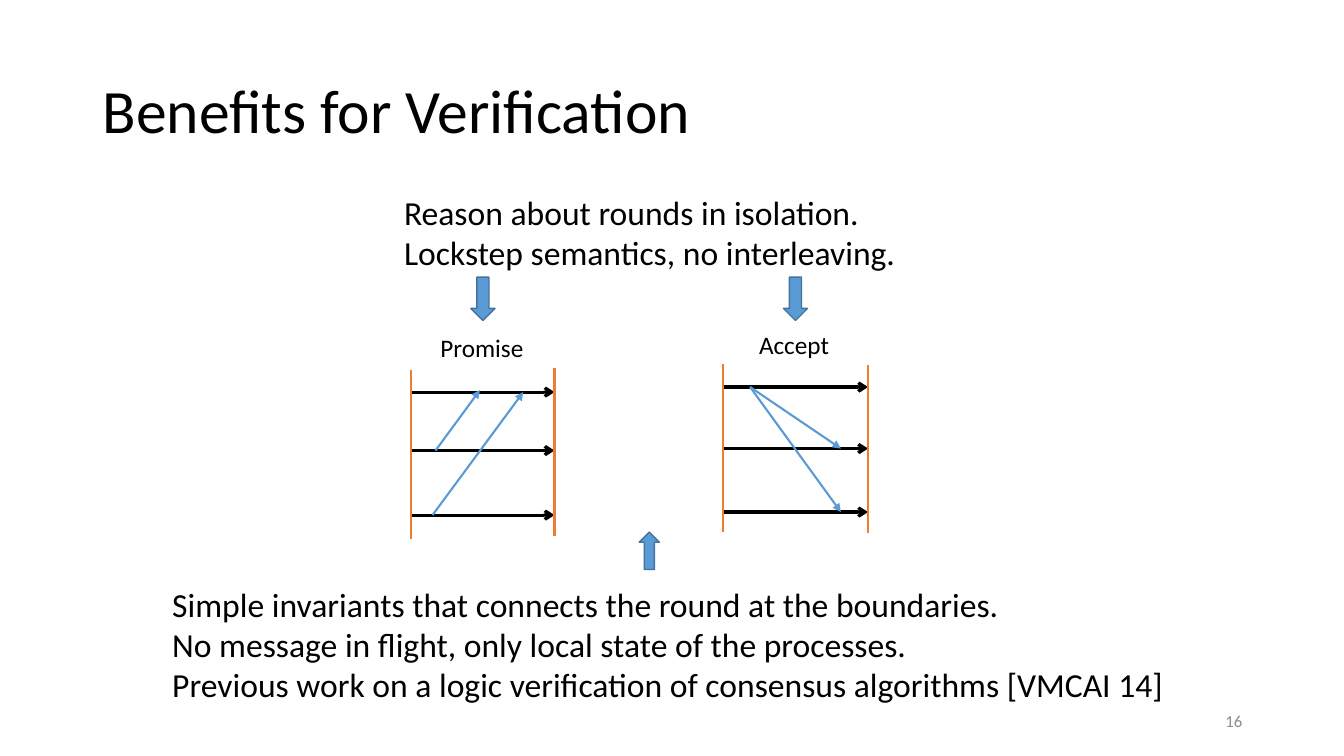
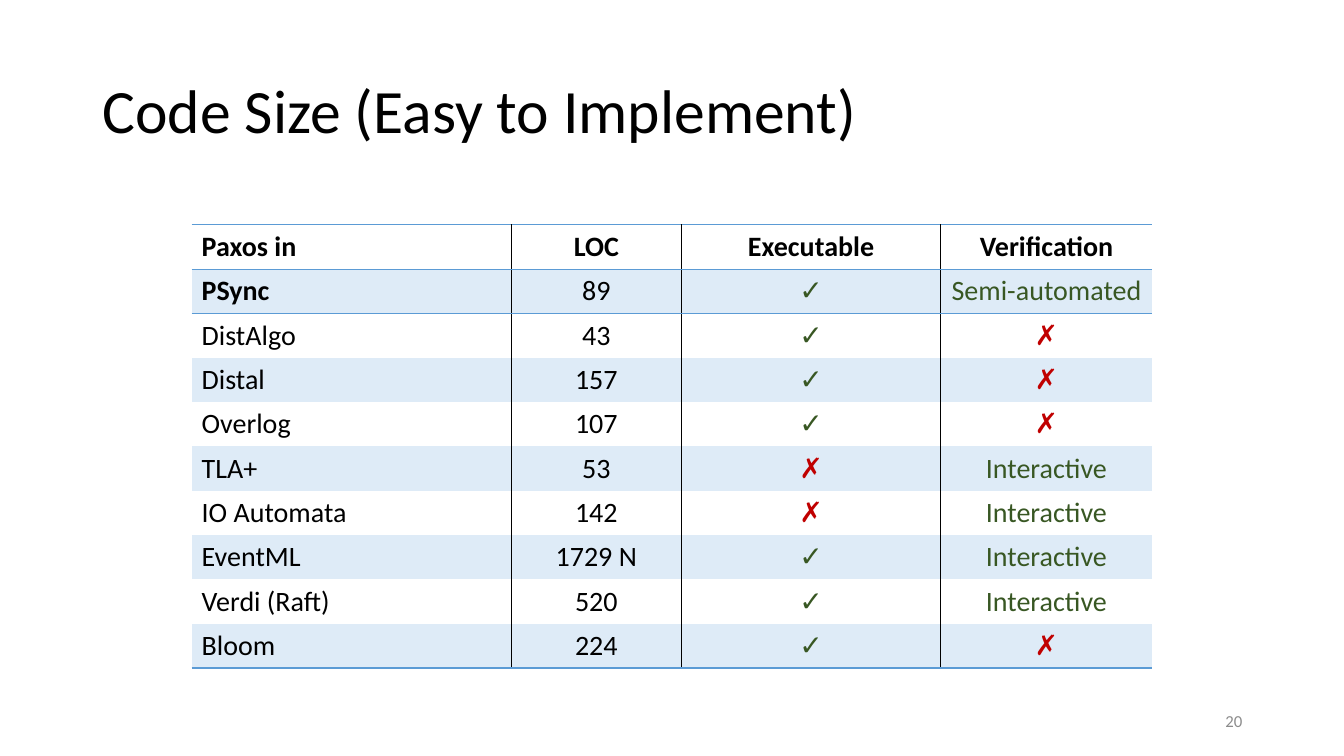
from dataclasses import dataclass
from typing import NamedTuple, Optional

from lxml.etree import SubElement
from pptx import Presentation
from pptx.dml.color import RGBColor
from pptx.enum.shapes import MSO_CONNECTOR, MSO_SHAPE
from pptx.enum.text import MSO_ANCHOR, PP_ALIGN
from pptx.oxml.ns import qn
from pptx.util import Inches, Pt


@dataclass(frozen=True)
class Theme:
    font: str = "Calibri"
    text: str = "000000"
    muted: str = "8C8C8C"
    blue: str = "5B9BD5"
    blue_dark: str = "43739E"
    orange: str = "ED7D31"
    band: str = "DEEBF7"
    good: str = "385723"
    bad: str = "C00000"
    title_size: float = 44
    body_size: float = 24
    table_size: float = 20
    label_size: float = 18
    footer_size: float = 12


class Box(NamedTuple):
    left: float
    top: float
    width: float
    height: float


class Line(NamedTuple):
    x1: float
    y1: float
    x2: float
    y2: float


class Border(NamedTuple):
    side: str
    color: str


@dataclass(frozen=True)
class Round:
    """One communication round: process lines between two boundaries."""
    label: str
    label_box: Box
    processes: list[float]
    boundaries: list[Line]
    messages: list[Line]


class BlockArrow(NamedTuple):
    shape: MSO_SHAPE
    box: Box


T = Theme()
TITLE_BOX = Box(0.92, 0.4, 11.5, 1.45)
NUMBER_BOX = Box(9.42, 6.95, 3, 0.4)
NO_TABLE_STYLE = "{2D5ABB26-0587-4C30-8999-92F81FD0307C}"

ROUNDS = [
    Round("Promise", Box(4.27, 3.25, 1.03, 0.4), [3.89, 4.47, 5.11],
          [Line(4.08, 3.67, 4.08, 5.35), Line(5.5, 3.65, 5.5, 5.32)],
          [Line(4.32, 4.47, 4.76, 3.87), Line(4.29, 5.11, 5.19, 3.89)]),
    Round("Accept", Box(7.43, 3.22, 0.9, 0.4), [3.84, 4.45, 5.08],
          [Line(7.17, 3.61, 7.17, 5.28), Line(8.61, 3.62, 8.61, 5.29)],
          [Line(7.44, 3.84, 8.34, 4.45), Line(7.44, 3.84, 8.34, 5.08)]),
]

BLOCK_ARROWS = [
    BlockArrow(MSO_SHAPE.UP_ARROW, Box(6.34, 5.28, 0.2, 0.37)),
    BlockArrow(MSO_SHAPE.DOWN_ARROW, Box(7.77, 2.75, 0.24, 0.43)),
    BlockArrow(MSO_SHAPE.DOWN_ARROW, Box(4.67, 2.75, 0.24, 0.43)),
]

TABLE_BOX = Box(1.9, 2.23, 9.53, 4.4)
COLUMN_WIDTHS = [3.17, 1.69, 2.57, 2.1]
ROWS = [
    ("Paxos in", "LOC", "Executable", "Verification"),
    ("PSync", "89", "✓", "Semi-automated"),
    ("DistAlgo", "43", "✓", "✗"),
    ("Distal", "157", "✓", "✗"),
    ("Overlog", "107", "✓", "✗"),
    ("TLA+", "53", "✗", "Interactive"),
    ("IO Automata", "142", "✗", "Interactive"),
    ("EventML", "1729 N", "✓", "Interactive"),
    ("Verdi (Raft)", "520", "✓", "Interactive"),
    ("Bloom", "224", "✓", "✗"),
]


def rgb(color: str) -> RGBColor:
    return RGBColor.from_string(color)


def place(box: Box) -> list[int]:
    return [Inches(v) for v in box]


def add_run(p, text: str, size: float, color: str = T.text, bold: bool = False) -> None:
    r = p.add_run()
    r.text = text
    r.font.name = T.font
    r.font.size = Pt(size)
    r.font.bold = bold
    r.font.color.rgb = rgb(color)


def add_text(shapes, box: Box, lines: list[str], size: float, color: str = T.text,
             align=PP_ALIGN.LEFT, anchor=MSO_ANCHOR.TOP, wrap: bool = False,
             spacing: float = 1.0) -> None:
    tf = shapes.add_textbox(*place(box)).text_frame
    tf.word_wrap = wrap
    tf.vertical_anchor = anchor
    for i, line in enumerate(lines):
        p = tf.add_paragraph() if i else tf.paragraphs[0]
        p.alignment = align
        p.line_spacing = spacing
        add_run(p, line, size, color)


def add_line(shapes, line: Line, color: str, width: float,
             head: Optional[str] = None) -> None:
    c = shapes.add_connector(MSO_CONNECTOR.STRAIGHT, *[Inches(v) for v in line])
    c.line.color.rgb = rgb(color)
    c.line.width = Pt(width)
    spPr = c.element.spPr
    if head:
        SubElement(spPr.find(qn("a:ln")), qn("a:tailEnd"), type=head)
    SubElement(spPr, qn("a:effectLst"))


def add_block_arrow(shapes, arrow: BlockArrow) -> None:
    sp = shapes.add_shape(arrow.shape, *place(arrow.box))
    sp.shadow.inherit = False
    sp.fill.solid()
    sp.fill.fore_color.rgb = rgb(T.blue)
    sp.line.color.rgb = rgb(T.blue_dark)
    sp.line.width = Pt(1)


def add_round(s, rnd: Round) -> None:
    shapes = s.shapes.add_group_shape().shapes
    start, end = (b.x1 for b in rnd.boundaries)
    for y in rnd.processes:
        add_line(shapes, Line(start, y, end, y), T.text, 2.25, "arrow")
    for message in rnd.messages:
        add_line(shapes, message, T.blue, 1.5, "triangle")
    add_text(shapes, rnd.label_box, [rnd.label], T.label_size)
    for boundary in rnd.boundaries:
        add_line(shapes, boundary, T.orange, 1.5)


def add_border(cell, border: Border) -> None:
    tcPr = cell._tc.get_or_add_tcPr()
    ln = SubElement(tcPr, qn(f"a:ln{border.side}"), w=str(Pt(1)))
    fill = SubElement(ln, qn("a:solidFill"))
    SubElement(fill, qn("a:srgbClr"), val=border.color)


def cell_borders(row: int, col: int) -> list[Border]:
    """Column rules around LOC, row rules around the header and at the end."""
    borders = []
    if col in (1, 2):
        borders.append(Border("L", T.text))
    if col in (0, 1):
        borders.append(Border("R", T.text))
    if row in (0, 1):
        borders.append(Border("T", T.blue))
    if row in (0, len(ROWS) - 1):
        borders.append(Border("B", T.blue))
    return borders


def cell_color(row: int, col: int, text: str) -> str:
    if row == 0 or col < 2:
        return T.text
    return T.bad if text == "✗" else T.good


def add_code_table(s) -> None:
    frame = s.shapes.add_table(len(ROWS), len(COLUMN_WIDTHS), *place(TABLE_BOX))
    table = frame.table
    table.first_row = table.horz_banding = False
    table._tbl.tblPr.find(qn("a:tableStyleId")).text = NO_TABLE_STYLE
    for column, width in zip(table.columns, COLUMN_WIDTHS):
        column.width = Inches(width)
    for i, row in enumerate(ROWS):
        table.rows[i].height = Inches(TABLE_BOX.height / len(ROWS))
        for j, text in enumerate(row):
            cell = table.cell(i, j)
            for border in cell_borders(i, j):
                add_border(cell, border)
            if i % 2:
                cell.fill.solid()
                cell.fill.fore_color.rgb = rgb(T.band)
            else:
                cell.fill.background()
            p = cell.text_frame.paragraphs[0]
            p.alignment = PP_ALIGN.CENTER if j else PP_ALIGN.LEFT
            bold = i == 0 or text in ("PSync", "✓", "✗")
            add_run(p, text, T.table_size, cell_color(i, j, text), bold)


def new_slide(prs, title: str, number: int):
    """Blank slide with the shared title and slide number."""
    s = prs.slides.add_slide(prs.slide_layouts[6])
    add_text(s.shapes, TITLE_BOX, [title], T.title_size,
             anchor=MSO_ANCHOR.MIDDLE, wrap=True, spacing=0.9)
    add_text(s.shapes, NUMBER_BOX, [str(number)], T.footer_size, T.muted,
             PP_ALIGN.RIGHT, MSO_ANCHOR.MIDDLE, wrap=True)
    return s


def build_benefits(prs) -> None:
    s = new_slide(prs, "Benefits for Verification", 16)
    for rnd in ROUNDS:
        add_round(s, rnd)
    add_text(s.shapes, Box(3.91, 1.85, 5.23, 0.91), [
        "Reason about rounds in isolation.",
        "Lockstep semantics, no interleaving.",
    ], T.body_size)
    add_text(s.shapes, Box(1.61, 5.74, 10.12, 1.31), [
        "Simple invariants that connects the round at the boundaries.",
        "No message in flight, only local state of the processes.",
        "Previous work on a logic verification of consensus algorithms [VMCAI 14]",
    ], T.body_size)
    for arrow in BLOCK_ARROWS:
        add_block_arrow(s.shapes, arrow)


def build_code_size(prs) -> None:
    s = new_slide(prs, "Code Size (Easy to Implement)", 20)
    add_code_table(s)


def main() -> None:
    prs = Presentation()
    prs.slide_width, prs.slide_height = Inches(13.33), Inches(7.5)
    build_benefits(prs)
    build_code_size(prs)
    prs.save("out.pptx")


if __name__ == "__main__":
    main()
